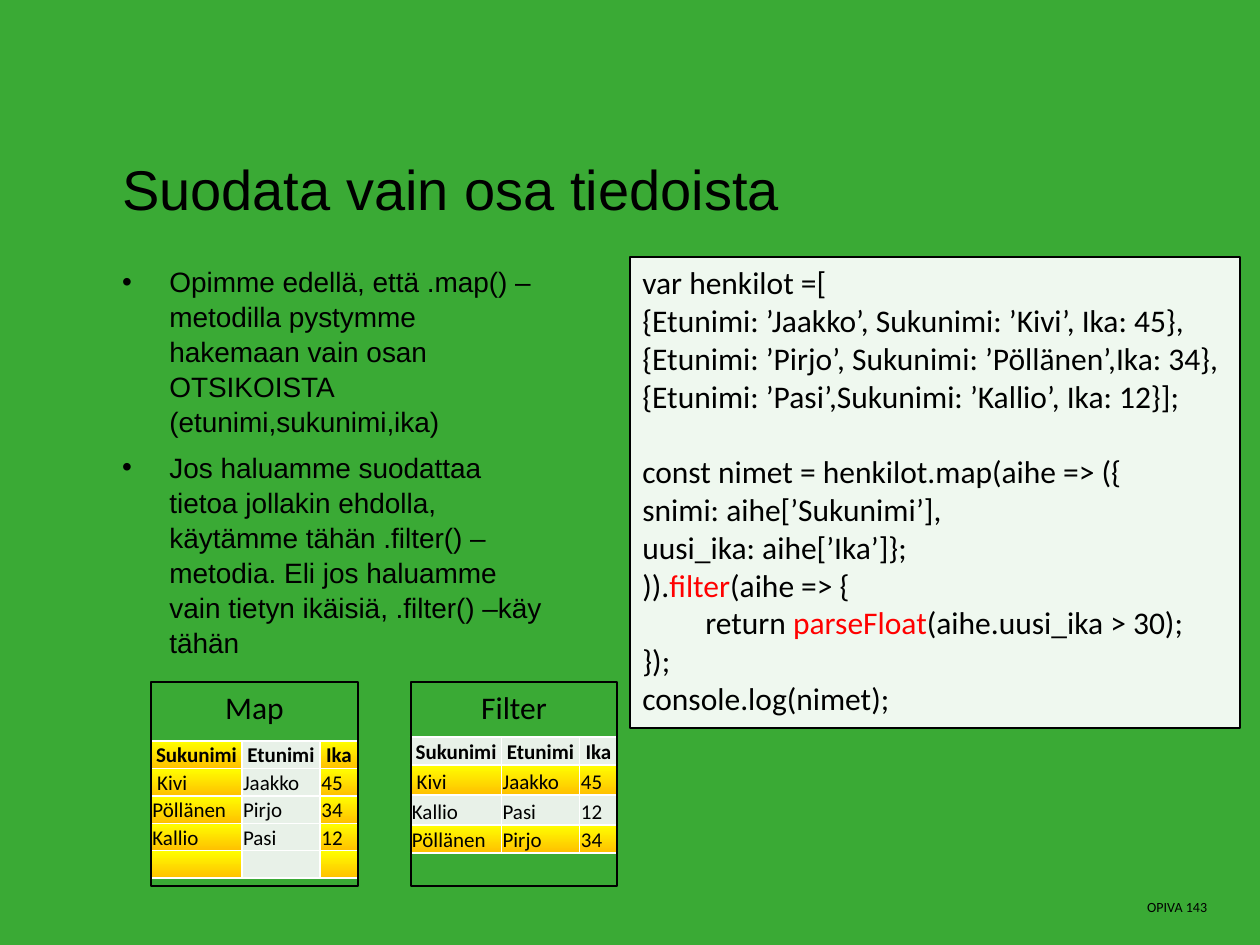
"""Build a slide on filtering data with map() and filter()."""
from lxml.etree import SubElement
from pptx import Presentation
from pptx.dml.color import RGBColor
from pptx.enum.shapes import MSO_SHAPE as Shape
from pptx.enum.text import MSO_ANCHOR as Anchor, MSO_AUTO_SIZE as AutoSize, PP_ALIGN as Align
from pptx.oxml.ns import qn
from pptx.util import Pt

GREEN = RGBColor(0x3A, 0xAA, 0x35)
BLACK = RGBColor(0, 0, 0)
WHITE = RGBColor(255, 255, 255)
RED = RGBColor(255, 0, 0)
PALE = RGBColor(0xE8, 0xF1, 0xE8)
ORANGE = RGBColor(0xFF, 0xC0, 0)
YELLOW = RGBColor(0xFF, 0xFF, 0)

BULLETS = [
    "Opimme edellä, että .map() –metodilla pystymme hakemaan vain osan OTSIKOISTA (etunimi,sukunimi,ika)",
    "Jos haluamme suodattaa tietoa jollakin ehdolla, käytämme tähän .filter() –metodia. "
    "Eli jos haluamme vain tietyn ikäisiä, .filter() –käy tähän",
]
DATA_CODE = [
    "var henkilot =[",
    "{Etunimi: ’Jaakko’, Sukunimi: ’Kivi’, Ika: 45},",
    "{Etunimi: ’Pirjo’, Sukunimi: ’Pöllänen’,Ika: 34},",
    "{Etunimi: ’Pasi’,Sukunimi: ’Kallio’, Ika: 12}];",
]
QUERY_CODE = [
    "const nimet = henkilot.map(aihe => ({",
    "snimi: aihe[’Sukunimi’],",
    "uusi_ika: aihe[’Ika’]};",
    ")).|filter|(aihe => {",
    "return |parseFloat|(aihe.uusi_ika > 30);",
    "});",
    "console.log(nimet);",
]
HEADER = ("Sukunimi", "Etunimi", "Ika")
KIVI = (" Kivi", "Jaakko", "45")
POLLANEN = ("Pöllänen", "Pirjo", "34")
KALLIO = ("Kallio", "Pasi", "12")
COLUMNS = (51.8, 44.8, 21.4)
BOX_TOP, BOX_WIDTH, BOX_HEIGHT = 389.5, 118, 116.6
MAP_LEFT, FILTER_LEFT = 86.4, 234.7


class SlideBuilder:
    """Hold the fonts and the current slide, and add its elements."""

    def __init__(self, page, text_font="Arial", code_font="Calibri"):
        self.page, self.text_font, self.code_font = page, text_font, code_font
        page.background.fill.solid()
        page.background.fill.fore_color.rgb = GREEN

    def style(self, para, size, name, align=Align.LEFT, bold=False):
        para.alignment = align
        font = para.font
        font.size, font.name, font.bold = Pt(size), name, bold
        font.color.rgb = BLACK

    def placeholder(self, index, bounds, lines, size, spacing, before, anchor):
        box = self.page.placeholders[index]
        box.left, box.top, box.width, box.height = map(Pt, bounds)
        frame = box.text_frame
        frame.text = "\n".join(lines)
        frame.auto_size, frame.vertical_anchor = AutoSize.NONE, anchor
        for para in frame.paragraphs:
            self.style(para, size, self.text_font)
            para.line_spacing, para.space_before = Pt(spacing), Pt(before)

    def rectangle(self, bounds, alpha=None):
        box = self.page.shapes.add_shape(Shape.RECTANGLE, *map(Pt, bounds))
        box.shadow.inherit = False
        box.line.color.rgb, box.line.width = BLACK, Pt(1.25)
        if alpha is None:
            box.fill.background()
        else:
            box.fill.solid()
            box.fill.fore_color.rgb = WHITE
            color = box.fill._xPr.find(qn("a:solidFill"))[0]
            SubElement(color, qn("a:alpha"), val=str(alpha * 1000))
        box.text_frame.word_wrap = True
        box.text_frame.vertical_anchor = Anchor.TOP
        return box

    def label_box(self, left, label):
        box = self.rectangle((left, BOX_TOP, BOX_WIDTH, BOX_HEIGHT))
        para = box.text_frame.paragraphs[0]
        para.text = label
        self.style(para, 18, self.code_font, Align.CENTER)

    def code_box(self, bounds, blocks):
        frame = self.rectangle(bounds, alpha=92).text_frame
        para = frame.paragraphs[0]
        for block_number, block in enumerate(blocks):
            for line_number, line in enumerate(block):
                if block_number or line_number:
                    para = frame.add_paragraph()
                self.style(para, 18, self.code_font)
                if block_number and not line_number:
                    para.space_before = Pt(21.6)
                if line.startswith("return"):
                    para._p.get_or_add_pPr().set("marL", str(Pt(36)))
                for position, piece in enumerate(line.split("|")):
                    span = para.add_run()
                    span.text = piece
                    if position % 2:
                        span.font.color.rgb = RED

    def table(self, left, top, heights, rows, highlighted):
        frame = self.page.shapes.add_table(
            len(rows), len(COLUMNS), Pt(left), Pt(top), Pt(sum(COLUMNS)), Pt(sum(heights)))
        table = frame.table
        table.first_row = table.horz_banding = False
        for column, width in zip(table.columns, COLUMNS):
            column.width = Pt(width)
        for r, (values, height) in enumerate(zip(rows, heights)):
            table.rows[r].height = Pt(height)
            for c, value in enumerate(values):
                self.cell(table.cell(r, c), value, r == 0, highlighted(r, c))

    def cell(self, cell, value, header, highlight):
        cell.margin_left = cell.margin_right = cell.margin_top = Pt(0.72)
        cell.margin_bottom = 0
        cell.vertical_anchor = Anchor.BOTTOM
        para = cell.text_frame.paragraphs[0]
        para.text = value
        self.style(para, 12, self.code_font, Align.CENTER if header else Align.LEFT, header)
        for side in "LRTB":
            border = SubElement(cell._tc.get_or_add_tcPr(), qn(f"a:ln{side}"), w=str(Pt(1)))
            SubElement(SubElement(border, qn("a:solidFill")), qn("a:srgbClr"), val=str(WHITE))
        if highlight:
            cell.fill.gradient()
            cell.fill.gradient_angle = 90
            for stop, color in zip(cell.fill.gradient_stops, (ORANGE, YELLOW)):
                stop.color.rgb = color
        else:
            cell.fill.solid()
            cell.fill.fore_color.rgb = PALE

    def footer(self, bounds, text):
        box = self.page.shapes.add_textbox(*map(Pt, bounds))
        box.text_frame.word_wrap = True
        para = box.text_frame.paragraphs[0]
        para.text = text
        self.style(para, 8, self.code_font, Align.RIGHT)


def main():
    deck = Presentation()
    deck.slide_width, deck.slide_height = Pt(720), Pt(540)
    slide = SlideBuilder(deck.slides.add_slide(deck.slide_layouts[1]))
    slide.footer((572.4, 509.8, 124.6, 17.3), "OPIVA 143")
    slide.placeholder(0, (62.6, 16.6, 453.6, 113.8), ["Suodata vain osa tiedoista"],
                      32, 36, 0, Anchor.BOTTOM)
    slide.placeholder(1, (62.6, 146.9, 260, 357), BULLETS, 16, 20, 6, Anchor.TOP)
    slide.code_box((360, 146.9, 348.5, 269.3), (DATA_CODE, QUERY_CODE))
    slide.table(MAP_LEFT, 423.4, [15.7] * 5, (HEADER, KIVI, POLLANEN, KALLIO, ("", "", "")),
                lambda row, column: column != 1)
    slide.table(FILTER_LEFT, 421.2, (15.9, 17.2, 17.2, 15.9), (HEADER, KIVI, KALLIO, POLLANEN),
                lambda row, column: row % 2 == 1)
    slide.label_box(MAP_LEFT, "Map")
    slide.label_box(FILTER_LEFT, "Filter")
    deck.save("out.pptx")


if __name__ == "__main__":
    main()
